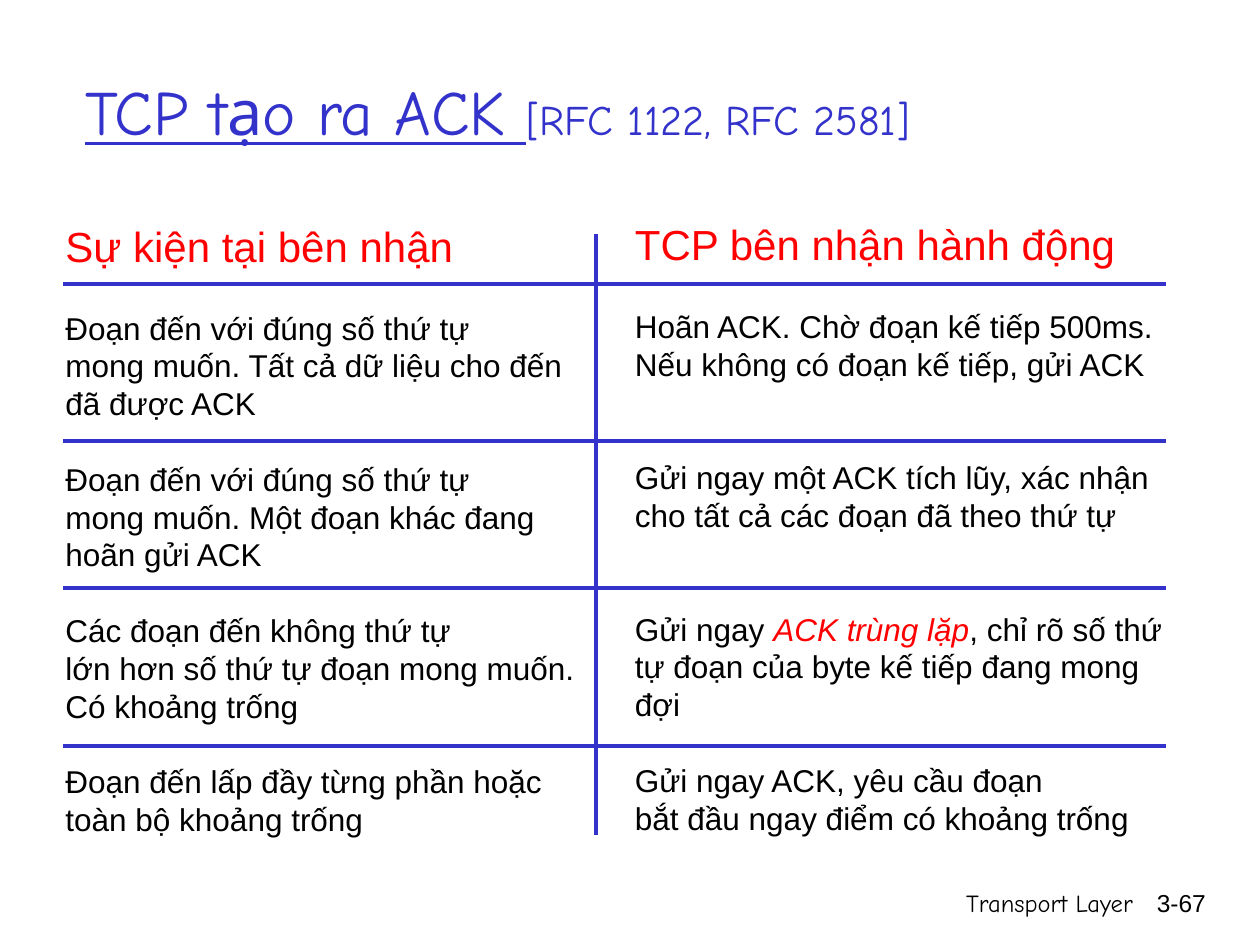
from lxml.etree import SubElement
from pptx import Presentation
from pptx.dml.color import RGBColor
from pptx.enum.shapes import MSO_CONNECTOR
from pptx.enum.text import MSO_ANCHOR, PP_ALIGN
from pptx.oxml.ns import qn
from pptx.util import Cm, Pt

BLUE = RGBColor(0x33, 0x33, 0xCC)
RED = RGBColor(0xFF, 0x00, 0x00)
BLACK = RGBColor(0x00, 0x00, 0x00)

BLANK_LINE = 21.6

EVENTS = [
    (1, ["Đoạn đến với đúng số thứ tự",
         "mong muốn. Tất cả dữ liệu cho đến",
         "đã được ACK"]),
    (1, ["Đoạn đến với đúng số thứ tự",
         "mong muốn. Một đoạn khác đang",
         "hoãn gửi ACK"]),
    (1, ["Các đoạn đến không thứ tự",
         "lớn hơn số thứ tự đoạn mong muốn.",
         "Có khoảng trống"]),
    (1, ["Đoạn đến lấp đầy từng phần hoặc toàn bộ khoảng trống"]),
]
ACTIONS = [
    (1, ["Hoãn ACK. Chờ đoạn kế tiếp 500ms. Nếu không có đoạn kế tiếp, gửi ACK"]),
    (2, ["Gửi ngay một ACK tích lũy, xác nhận",
         "cho tất cả các đoạn đã theo thứ tự"]),
    (2, ["Gửi ngay *ACK trùng lặp*, chỉ rõ số thứ tự đoạn của byte kế tiếp đang mong đợi"]),
    (1, ["Gửi ngay ACK, yêu cầu đoạn",
         "bắt đầu ngay điểm có khoảng trống"]),
]


def add_text_box(s, left, top, width, height):
    tf = s.shapes.add_textbox(Cm(left), Cm(top), Cm(width), Cm(height)).text_frame
    tf.word_wrap = True
    return tf


def set_font(font, name, size, color):
    font.name = name
    font.size = Pt(size)
    font.color.rgb = color


def add_title(s, left, top, width, height):
    tf = add_text_box(s, left, top, width, height)
    tf.vertical_anchor = MSO_ANCHOR.MIDDLE
    p = tf.paragraphs[0]
    for text, size, underline in [("TCP tạo ra ACK ", 36, True),
                                  ("[RFC 1122, RFC 2581]", 24, False)]:
        r = p.add_run()
        r.text = text
        set_font(r.font, "Comic Neue", size, BLUE)
        r.font.underline = underline


def add_column(s, left, top, width, height, heading, rows):
    tf = add_text_box(s, left, top, width, height)
    p = tf.paragraphs[0]
    p.text = heading
    set_font(p.font, "Arial", 24, RED)
    for gap, lines in rows:
        for i, line in enumerate(lines):
            p = tf.add_paragraph()
            p.space_before = Pt(0 if i else gap * BLANK_LINE)
            set_font(p.font, "Arial", 18, BLACK)
            for j, part in enumerate(line.split("*")):
                r = p.add_run()
                r.text = part
                if j % 2:
                    set_font(r.font, "Arial", 18, RED)
                    r.font.italic = True


def add_rule(s, x1, y1, x2, y2):
    c = s.shapes.add_connector(MSO_CONNECTOR.STRAIGHT, Cm(x1), Cm(y1), Cm(x2), Cm(y2))
    c.line.color.rgb = BLUE
    c.line.width = Pt(2.25)
    SubElement(c._element.spPr, qn("a:effectLst"))


def add_comparison(s, left, top, width, height):
    add_column(s, left - 0.2, top - 0.4, 11, 14.22, "Sự kiện tại bên nhận", EVENTS)
    add_column(s, left + 11.28, top - 0.43, 11.38, 14.22, "TCP bên nhận hành động", ACTIONS)
    for y in (1, 4.17, 7.14, 10.32):
        add_rule(s, left, top + y, left + width, top + y)
    add_rule(s, left + 10.74, top, left + 10.74, top + height)


def add_footer(s, left, top, width, height):
    for text, font, x, w in [("Transport Layer", "Comic Neue", 0, 8.05),
                             ("3-67", "Arial", width - 1.88, 1.88)]:
        p = add_text_box(s, left + x, top, w, height).paragraphs[0]
        p.text = text
        p.alignment = PP_ALIGN.RIGHT
        set_font(p.font, font, 14, BLACK)


def main():
    prs = Presentation()
    prs.slide_width, prs.slide_height = Cm(25.4), Cm(19.05)
    s = prs.slides.add_slide(prs.slide_layouts[6])
    add_footer(s, 15.04, 17.78, 9.52, 1.27)
    add_title(s, 1.47, 0.64, 21.59, 3.18)
    add_comparison(s, 1.27, 4.72, 22.23, 12.12)
    prs.save("out.pptx")


if __name__ == "__main__":
    main()
